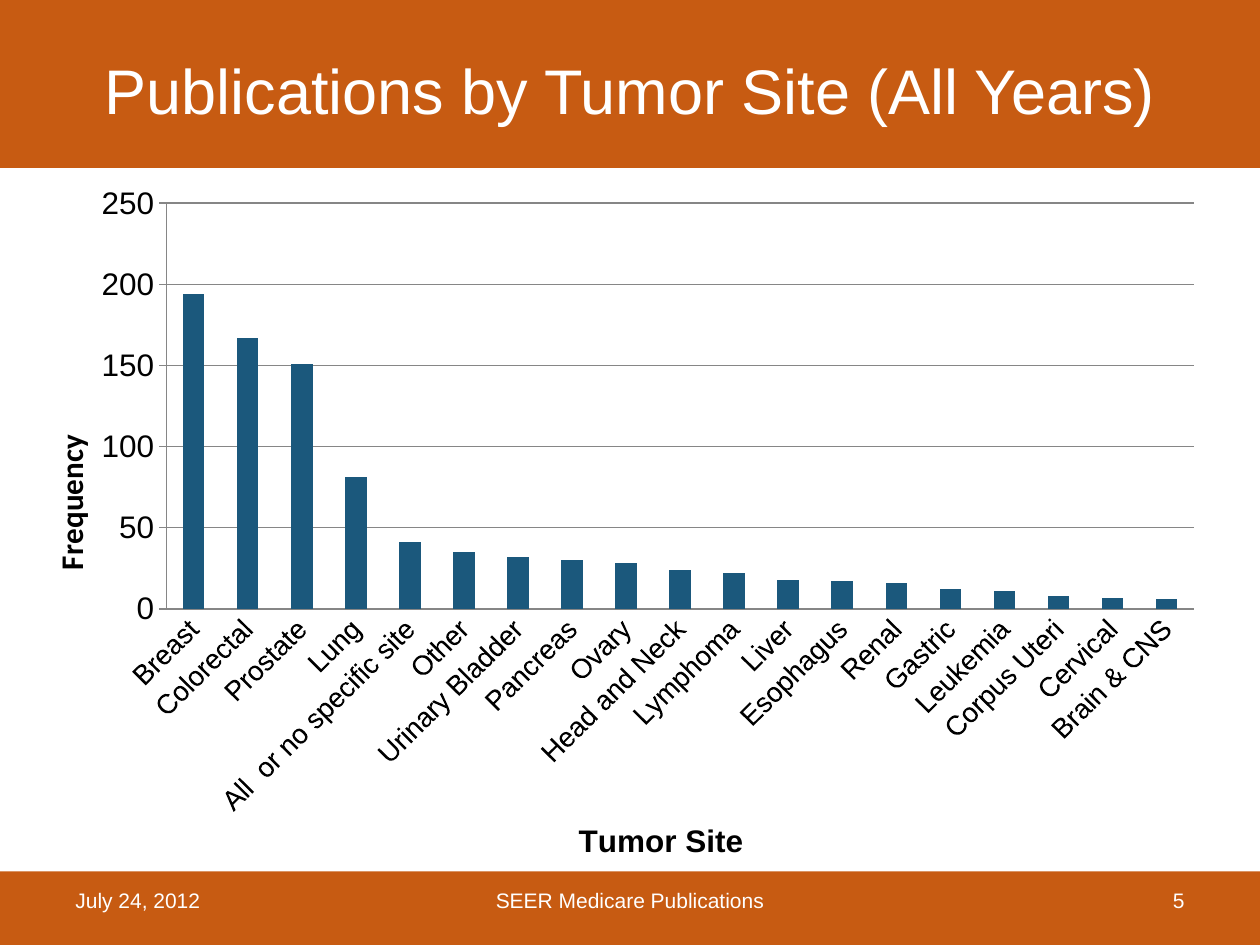
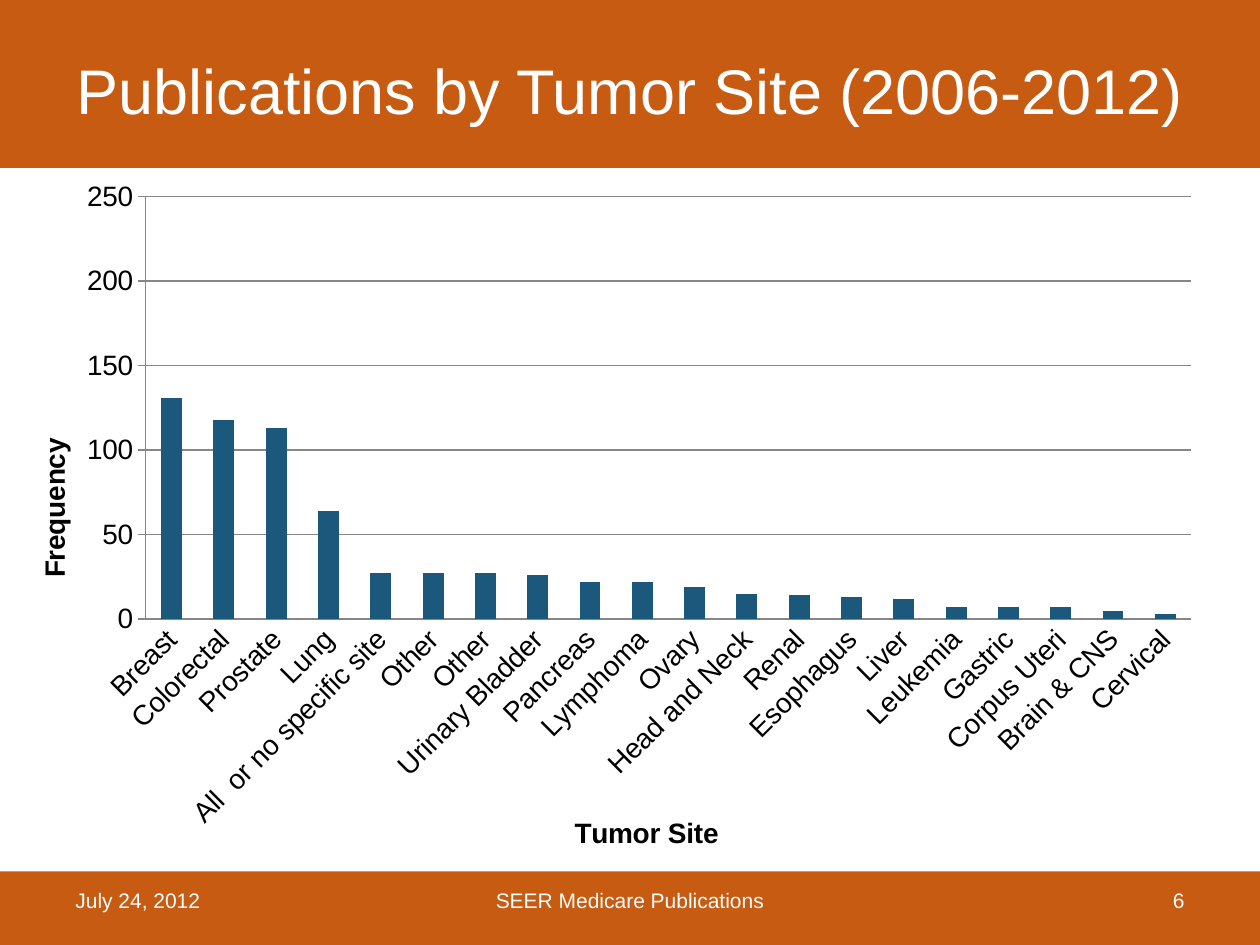
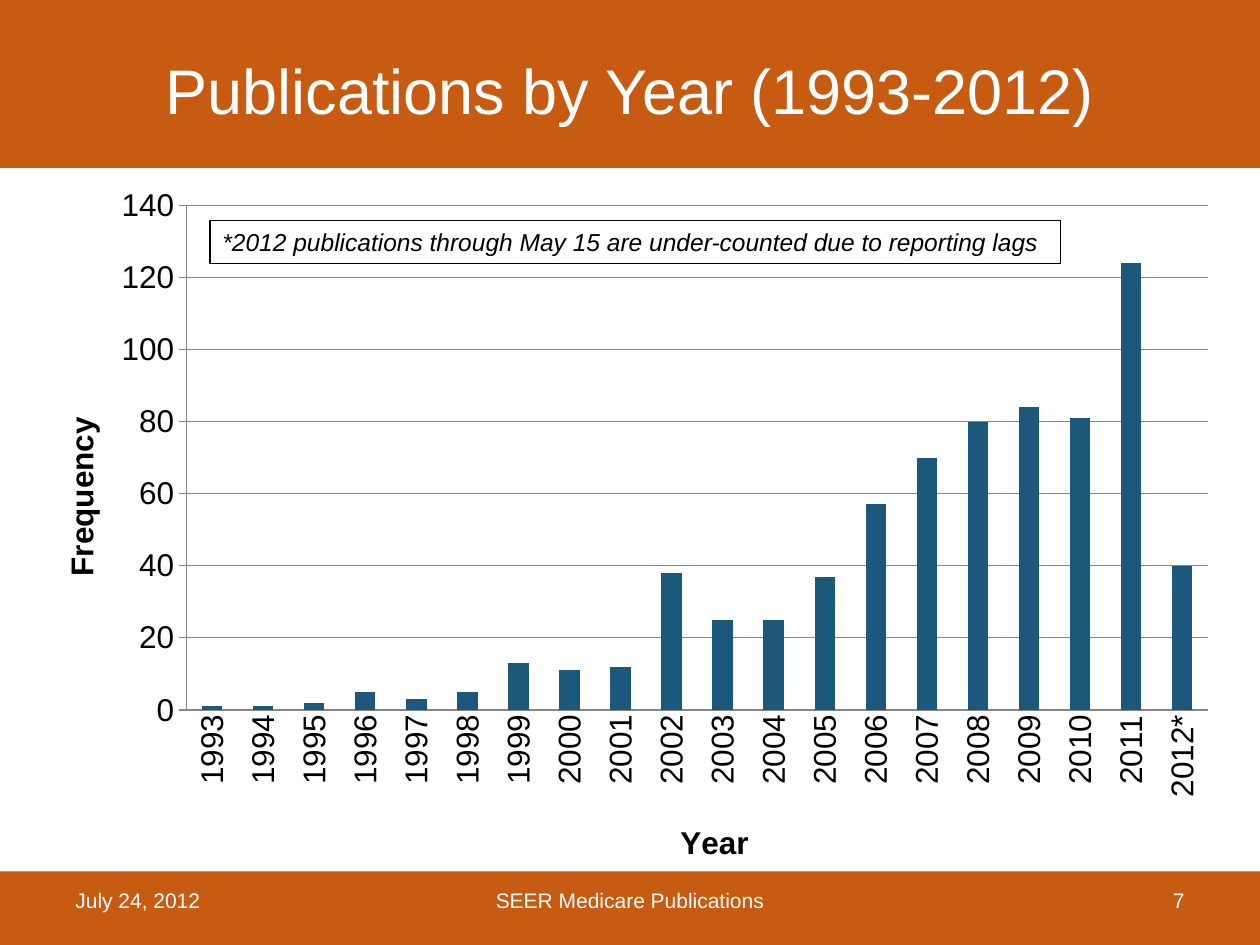
import dataclasses

import pptx
import pptx.chart.data
import pptx.dml.color
import pptx.enum.chart
import pptx.enum.shapes
import pptx.enum.text
import pptx.oxml
import pptx.oxml.ns
import pptx.util

Pt = pptx.util.Pt
Align = pptx.enum.text.PP_ALIGN
AutoSize = pptx.enum.text.MSO_AUTO_SIZE
TickMark = pptx.enum.chart.XL_TICK_MARK
RECTANGLE = pptx.enum.shapes.MSO_SHAPE.RECTANGLE


@dataclasses.dataclass(frozen=True)
class Theme:
    band: str = "C75B12"
    bar: str = "1B587C"
    grid: str = "868686"
    ink: str = "000000"
    paper: str = "FFFFFF"
    font: str = "Arial"
    title: int = 36
    note: int = 14
    footer: int = 12


THEME = Theme()
WIDTH, HEIGHT = 720, 540
BANDS = [(0, 0, WIDTH, 96), (0, 498, WIDTH, 42)]
TITLE_BOX = (0, 12, WIDTH, 78)
CHART_SIZE = (677, 396)
FIRST_NUMBER = 5
FOOTERS = [
    ("July 24, 2012", (36, 500, 168, 29), Align.LEFT),
    ("{number}", (516, 500, 168, 29), Align.RIGHT),
    ("SEER Medicare Publications", (246, 500, 228, 29), Align.CENTER),
]
SLIDES = [
    {
        "title": "Publications by Tumor Site (All Years)",
        "corner": (16, 100),
        "plot_percent": (11.7, 4.1, 86.7, 59.3),
        "category_title": ("Tumor Site", "Arial", (46, 93.4)),
        "value_title": ("Frequency", "Calibri", (1.3, 37.3)),
        "sizes": {"category": 16, "value": 18, "title": 18},
        "label_angle": -45,
        "scale": (250, 50),
        "data": [
            ("Breast", 194), ("Colorectal", 167), ("Prostate", 151), ("Lung", 81),
            ("All  or no specific site", 41), ("Other", 35), ("Urinary Bladder", 32),
            ("Pancreas", 30), ("Ovary", 28), ("Head and Neck", 24), ("Lymphoma", 22),
            ("Liver", 18), ("Esophagus", 17), ("Renal", 16), ("Gastric", 12),
            ("Leukemia", 11), ("Corpus Uteri", 8), ("Cervical", 7), ("Brain & CNS", 6),
        ],
    },
    {
        "title": "Publications by Tumor Site (2006-2012)",
        "corner": (12, 96),
        "plot_percent": (10.5, 4.1, 88.3, 61),
        "category_title": ("Tumor Site", "Arial", (46.3, 92.7)),
        "value_title": ("Frequency", "Arial", (0.9, 38.3)),
        "sizes": {"category": 16, "value": 16, "title": 16},
        "label_angle": -45,
        "scale": (250, 50),
        "data": [
            ("Breast", 131), ("Colorectal", 118), ("Prostate", 113), ("Lung", 64),
            ("All  or no specific site", 27), ("Other", 27), ("Other", 27),
            ("Urinary Bladder", 26), ("Pancreas", 22), ("Lymphoma", 22), ("Ovary", 19),
            ("Head and Neck", 15), ("Renal", 14), ("Esophagus", 13), ("Liver", 12),
            ("Leukemia", 7), ("Gastric", 7), ("Corpus Uteri", 7), ("Brain & CNS", 5),
            ("Cervical", 3),
        ],
    },
    {
        "title": "Publications by Year (1993-2012)",
        "corner": (24, 102),
        "plot_percent": (12.2, 3.9, 86.2, 72.8),
        "category_title": ("Year", "Arial", (53.4, 92)),
        "value_title": ("Frequency", "Arial", (1.1, 33.6)),
        "sizes": {"category": 18, "value": 18, "title": 18},
        "label_angle": -90,
        "scale": (140, 20),
        "data": [
            ("1993", 1), ("1994", 1), ("1995", 2), ("1996", 5), ("1997", 3),
            ("1998", 5), ("1999", 13), ("2000", 11), ("2001", 12), ("2002", 38),
            ("2003", 25), ("2004", 25), ("2005", 37), ("2006", 57), ("2007", 70),
            ("2008", 80), ("2009", 84), ("2010", 81), ("2011", 124), ("2012*", 40),
        ],
        "note": (
            "*2012 publications through May 15 are under-counted due to reporting lags",
            (120, 126, 486, 24.5),
        ),
    },
]


def rgb(color):
    return pptx.dml.color.RGBColor.from_string(color)


def points(values):
    return [Pt(value) for value in values]


def set_font(font, size, color=THEME.ink, name=THEME.font, bold=False, italic=False):
    font.size, font.name = Pt(size), name
    font.bold, font.italic = bold, italic
    font.color.rgb = rgb(color)


def write_text(frame, text, *, size, align=Align.CENTER, auto_size=AutoSize.NONE, **font_format):
    frame.word_wrap = True
    frame.auto_size = auto_size
    frame.vertical_anchor = pptx.enum.text.MSO_ANCHOR.MIDDLE
    paragraph = frame.paragraphs[0]
    paragraph.alignment = align
    run = paragraph.add_run()
    run.text = text
    set_font(run.font, size, **font_format)


def add_rectangle(slide, box, fill, line=None):
    shape = slide.shapes.add_shape(RECTANGLE, *points(box))
    shape.shadow.inherit = False
    shape.fill.solid()
    shape.fill.fore_color.rgb = rgb(fill)
    if line:
        shape.line.color.rgb = rgb(line)
        shape.line.width = Pt(0.75)
    else:
        shape.line.fill.background()
    return shape


def set_layout(element, index, percents, target=""):
    for old in element.xpath("./c:layout"):
        element.remove(old)
    tags = [f'<c:{axis}Mode val="edge"/>' for axis in "xy"]
    tags += [f'<c:{key} val="{value / 100:.3f}"/>' for key, value in zip("xywh", percents)]
    layout = pptx.oxml.parse_xml(
        f'<c:layout {pptx.oxml.ns.nsdecls("c")}><c:manualLayout>'
        f'{target}{"".join(tags)}</c:manualLayout></c:layout>'
    )
    element.insert(index, layout)


def format_axis(axis, title, label_size, title_size):
    text, font_name, position = title
    set_font(axis.tick_labels.font, label_size)
    write_text(axis.axis_title.text_frame, text, size=title_size, name=font_name, bold=True)
    set_layout(axis.axis_title.element, 1, position)
    axis.minor_tick_mark = TickMark.NONE
    axis.format.line.color.rgb = rgb(THEME.grid)
    axis.format.line.width = Pt(0.75)


def rotate(chart, location, degrees):
    body = chart.element.xpath(f".//{location}//a:bodyPr")[0]
    body.set("rot", str(degrees * 60000))
    body.set("vert", "horz")


def add_column_chart(slide, content):
    chart_data = pptx.chart.data.CategoryChartData(number_format="General")
    categories, values = zip(*content["data"])
    chart_data.categories = categories
    chart_data.add_series("Series 1", values)
    chart = slide.shapes.add_chart(
        pptx.enum.chart.XL_CHART_TYPE.COLUMN_CLUSTERED,
        *points(content["corner"] + CHART_SIZE), chart_data,
    ).chart
    sizes = content["sizes"]
    set_font(chart.font, sizes["title"])
    chart.has_title = False
    chart.has_legend = False
    plot = chart.plots[0]
    plot.gap_width = 150
    plot.vary_by_categories = False
    fill = plot.series[0].format.fill
    fill.solid()
    fill.fore_color.rgb = rgb(THEME.bar)

    category_axis, value_axis = chart.category_axis, chart.value_axis
    format_axis(category_axis, content["category_title"], sizes["category"], sizes["title"])
    format_axis(value_axis, content["value_title"], sizes["value"], sizes["title"])
    category_axis.major_tick_mark = TickMark.NONE
    value_axis.major_tick_mark = TickMark.CROSS
    value_axis.minimum_scale = 0
    value_axis.maximum_scale, value_axis.major_unit = content["scale"]
    value_axis.has_major_gridlines = True
    grid_line = value_axis.major_gridlines.format.line
    grid_line.color.rgb = rgb(THEME.grid)
    grid_line.width = Pt(0.75)
    rotate(chart, "c:catAx/c:txPr", content["label_angle"])
    rotate(chart, "c:valAx/c:title", -90)
    plot_area = chart.element.xpath(".//c:plotArea")[0]
    set_layout(plot_area, 0, content["plot_percent"], '<c:layoutTarget val="inner"/>')


def add_shared_bands(slide):
    layout_tree = slide.slide_layout.shapes.element
    for box in BANDS:
        layout_tree.insert(2, add_rectangle(slide, box, THEME.band).element)


def add_title(slide, text):
    title = slide.shapes.title
    title.left, title.top, title.width, title.height = points(TITLE_BOX)
    write_text(title.text_frame, text, size=THEME.title, color=THEME.paper)


def add_footers(slide, number):
    for text, box, align in FOOTERS:
        shape = slide.shapes.add_textbox(*points(box))
        write_text(shape.text_frame, text.format(number=number), size=THEME.footer,
                   align=align, color=THEME.paper)


def main():
    presentation = pptx.Presentation()
    presentation.slide_width, presentation.slide_height = Pt(WIDTH), Pt(HEIGHT)
    title_only = presentation.slide_layouts.get_by_name("Title Only")
    for number, content in enumerate(SLIDES, FIRST_NUMBER):
        slide = presentation.slides.add_slide(title_only)
        if number == FIRST_NUMBER:
            add_shared_bands(slide)
        add_title(slide, content["title"])
        add_column_chart(slide, content)
        add_footers(slide, number)
        if "note" in content:
            text, box = content["note"]
            shape = add_rectangle(slide, box, THEME.paper, THEME.ink)
            write_text(shape.text_frame, text, size=THEME.note, align=Align.LEFT,
                       auto_size=AutoSize.SHAPE_TO_FIT_TEXT, italic=True)
    presentation.save("out.pptx")


if __name__ == "__main__":
    main()
